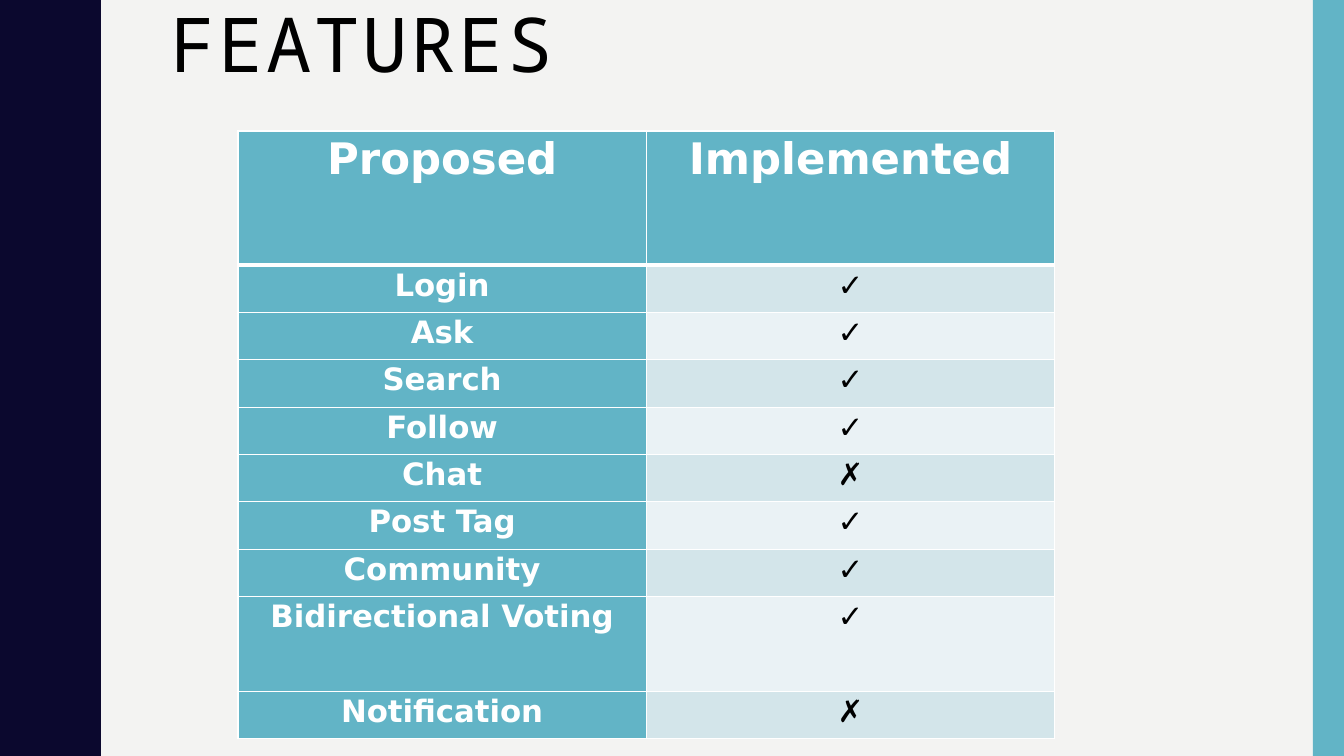
from lxml import etree
from pptx import Presentation
from pptx import util as u
from pptx.dml.color import RGBColor
from pptx.enum import shapes, text
from pptx.oxml.ns import qn

# Content
TITLE = "FEATURES"
HEADINGS = ("Proposed", "Implemented")
FEATURES = [
    ("Login", "✓"),
    ("Ask", "✓"),
    ("Search", "✓"),
    ("Follow", "✓"),
    ("Chat", "✗"),
    ("Post Tag", "✓"),
    ("Community", "✓"),
    ("Bidirectional Voting", "✓"),
    ("Notification", "✗"),
]

# Theme: colours, fonts and type sizes
THEME = {
    "paper": "F3F3F2", "navy": "0B082E", "teal": "62B4C6",
    "bands": ("D3E5EA", "EAF2F5"), "white": "FFFFFF", "black": "000000",
    "title_font": "Noto Sans Mono", "table_font": "DejaVu Sans",
    "title_size": 54, "heading_size": 31, "cell_size": 22,
}

# Layout, in inches
WIDTH, HEIGHT = 13.33, 7.5
BAR_WIDTH = 0.31
TITLE_BOX = (1.59, 0.07, 10.87, 6.84)
TABLE_LEFT, TABLE_TOP, COLUMN_WIDTH = 2.36, 1.3, 4.05
HEADING_HEIGHT, ROW_HEIGHT = 1.33, 0.47
TALL_ROWS = {"Bidirectional Voting"}
WAVE_PERIOD, WAVE_COUNT = 1.5, 5
# Half a wave, from trough to crest
HALF_WAVE = [
    (0.78, 0), (0.78, 0.07), (0.79, 0.14), (0.8, 0.2), (0.81, 0.25),
    (0.83, 0.29), (0.85, 0.33), (0.87, 0.38), (0.89, 0.42), (0.91, 0.46),
    (0.93, 0.5), (0.95, 0.55), (0.96, 0.61), (0.97, 0.68), (0.97, 0.75),
]


def rgb(name):
    return RGBColor.from_string(THEME.get(name, name))


def apply(target, values):
    for name, value in values.items():
        setattr(target, name, value)


def style_font(font, face, size, color, bold=False):
    apply(font, {"name": THEME[face], "size": u.Pt(THEME[size]), "bold": bold})
    font.color.rgb = rgb(color)


def paint(shape, color):
    shape.shadow.inherit = False
    shape.fill.solid()
    shape.fill.fore_color.rgb = rgb(color)
    shape.line.fill.background()


def set_borders(cell, widths):
    properties = cell._tc.get_or_add_tcPr()
    for index, (side, points) in enumerate(widths.items()):
        line = etree.Element(qn(f"a:ln{side}"), w=str(u.Pt(points)))
        fill = etree.SubElement(line, qn("a:solidFill"))
        etree.SubElement(fill, qn("a:srgbClr"), val=THEME["white"])
        properties.insert(index, line)


def fill_cell(cell, words, color, size, ink, bold, widths):
    apply(cell, {"margin_left": u.Inches(0.06), "margin_right": u.Inches(0.06),
                 "margin_top": 0, "margin_bottom": 0,
                 "vertical_anchor": text.MSO_ANCHOR.TOP})
    cell.fill.solid()
    cell.fill.fore_color.rgb = rgb(color)
    para = cell.text_frame.paragraphs[0]
    apply(para, {"alignment": text.PP_ALIGN.CENTER, "line_spacing": 1.07})
    span = para.add_run()
    span.text = words
    style_font(span.font, "table_font", size, ink, bold)
    set_borders(cell, widths)


def add_decoration(page):
    # Wavy band on the left
    wave = HALF_WAVE + [(x, WAVE_PERIOD - y) for x, y in HALF_WAVE[-2::-1]]
    edge = [(x, y + n * WAVE_PERIOD) for n in range(WAVE_COUNT) for x, y in wave]
    outline = page.shapes.build_freeform(0, 0, scale=u.Inches(1))
    outline.add_line_segments(edge + [(0, HEIGHT)], close=True)
    paint(outline.convert_to_shape(), "navy")

    # Plain bar on the right
    bar = page.shapes.add_shape(
        shapes.MSO_SHAPE.RECTANGLE, u.Inches(WIDTH - BAR_WIDTH), 0,
        u.Inches(BAR_WIDTH), u.Inches(HEIGHT))
    paint(bar, "teal")


def add_title(page):
    box = page.shapes.title
    apply(box, dict(zip(("left", "top", "width", "height"), map(u.Inches, TITLE_BOX))))
    frame = box.text_frame
    apply(frame, {"vertical_anchor": text.MSO_ANCHOR.TOP, "word_wrap": True,
                  "auto_size": text.MSO_AUTO_SIZE.NONE, "margin_top": 0})
    para = frame.paragraphs[0]
    apply(para, {"alignment": text.PP_ALIGN.LEFT, "line_spacing": 0.9,
                 "space_before": u.Pt(0)})
    span = para.add_run()
    span.text = TITLE
    style_font(span.font, "title_font", "title_size", "black")
    span.font._element.set("spc", "200")


def add_feature_table(page):
    heights = [HEADING_HEIGHT] + [
        ROW_HEIGHT * (2 if name in TALL_ROWS else 1) for name, _ in FEATURES]
    columns = len(HEADINGS)
    table = page.shapes.add_table(
        len(heights), columns, u.Inches(TABLE_LEFT), u.Inches(TABLE_TOP),
        u.Inches(COLUMN_WIDTH * columns), u.Inches(sum(heights))).table
    apply(table, {"first_row": False, "horz_banding": False})
    for column in table.columns:
        column.width = u.Inches(COLUMN_WIDTH)
    for row, height in zip(table.rows, heights):
        row.height = u.Inches(height)

    for r, values in enumerate([HEADINGS] + FEATURES):
        widths = {"L": 1, "R": 1, "T": 3 if r == 1 else 1, "B": 3 if r == 0 else 1}
        for c, words in enumerate(values):
            strong = r == 0 or c == 0
            fill_cell(table.cell(r, c), words,
                      "teal" if strong else THEME["bands"][(r - 1) % 2],
                      "heading_size" if r == 0 else "cell_size",
                      "white" if strong else "black", strong, widths)


def main():
    deck = Presentation()
    apply(deck, {"slide_width": u.Inches(WIDTH), "slide_height": u.Inches(HEIGHT)})
    page = deck.slides.add_slide(deck.slide_layouts[5])
    page.background.fill.solid()
    page.background.fill.fore_color.rgb = rgb("paper")
    add_decoration(page)
    add_title(page)
    add_feature_table(page)
    deck.save("out.pptx")


if __name__ == "__main__":
    main()
